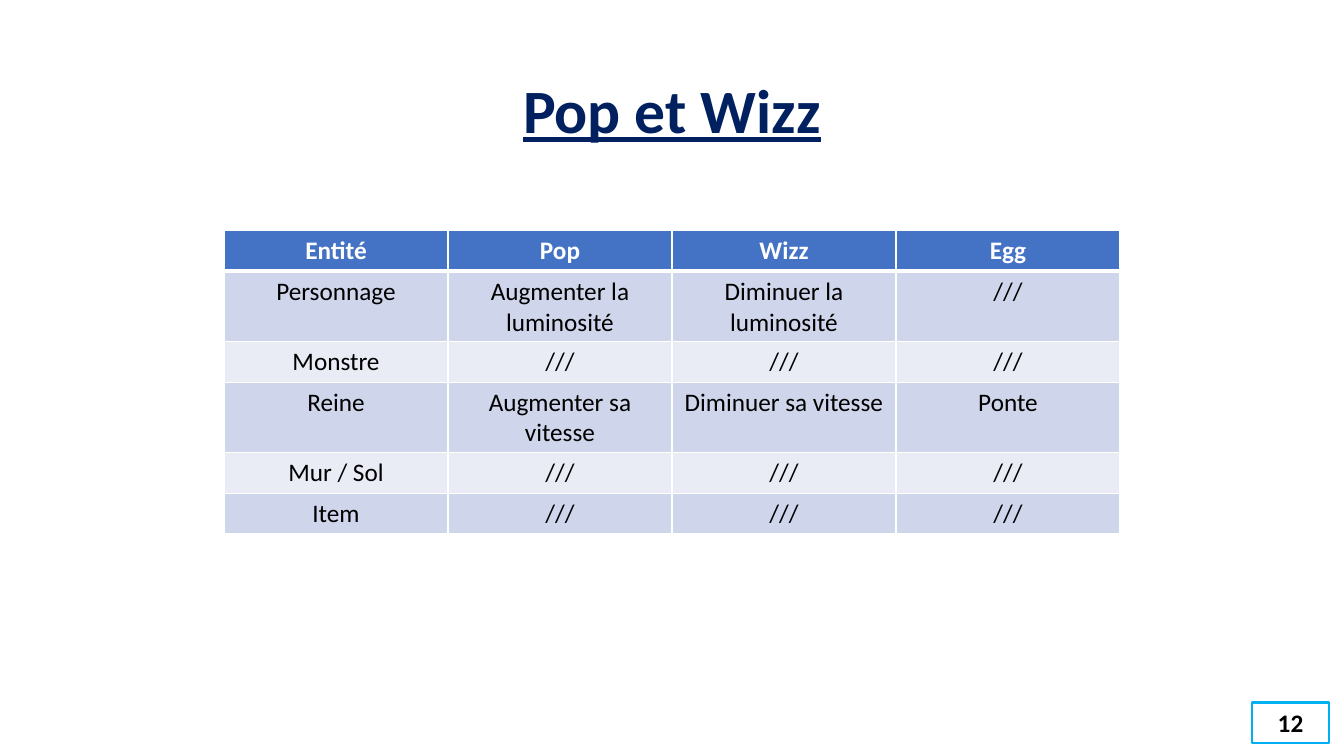
from lxml import etree
from pptx import Presentation
from pptx.dml.color import RGBColor
from pptx.enum.shapes import MSO_SHAPE
from pptx.enum.text import MSO_ANCHOR, PP_ALIGN
from pptx.oxml.ns import qn
from pptx.util import Inches, Pt

RECTANGLE = MSO_SHAPE.RECTANGLE
MIDDLE = MSO_ANCHOR.MIDDLE
CENTER = PP_ALIGN.CENTER

WIDTH, HEIGHT = 13.33, 7.5
FONT = "Calibri"
NAVY, BLUE, CYAN = "002060", "4472C4", "00B0F0"
BANDS = ("CFD5EA", "E9EBF5")
WHITE, BLACK = "FFFFFF", "000000"

NONE = "///"
ACTIONS = [
    ("Entité", "Pop", "Wizz", "Egg"),
    ("Personnage", "Augmenter la luminosité", "Diminuer la luminosité", NONE),
    ("Monstre", NONE, NONE, NONE),
    ("Reine", "Augmenter sa vitesse", "Diminuer sa vitesse", "Ponte"),
    ("Mur / Sol", NONE, NONE, NONE),
    ("Item", NONE, NONE, NONE),
]


def color(value):
    return RGBColor.from_string(value)


def write(frame, text, *, size=18, ink=BLACK, bold=False, underline=False,
          spacing=1.0):
    """Put one centred, formatted paragraph into a text frame."""
    frame.word_wrap = True
    para = frame.paragraphs[0]
    para.alignment = CENTER
    para.line_spacing = spacing
    span = para.add_run()
    span.text = text
    span.font.name = FONT
    span.font.size = Pt(size)
    span.font.bold = bold
    span.font.underline = underline
    span.font.color.rgb = color(ink)


def add_title(page, text):
    left, top, height = 0.92, 0.4, 1.45
    box = page.shapes.add_textbox(Inches(left), Inches(top),
                                  Inches(WIDTH - 2 * left), Inches(height))
    box.text_frame.vertical_anchor = MIDDLE
    write(box.text_frame, text, size=44, ink=NAVY, bold=True,
          underline=True, spacing=0.9)


def set_borders(cell, **widths):
    """Draw white cell borders; widths are points keyed by side."""
    properties = cell._tc.get_or_add_tcPr()
    for side, width in widths.items():
        line = etree.SubElement(properties, qn(f"a:ln{side}"), w=str(Pt(width)))
        fill = etree.SubElement(line, qn("a:solidFill"))
        etree.SubElement(fill, qn("a:srgbClr"), val=WHITE)


def add_action_table(page, rows):
    # Four columns, each a sixth of the slide, centred across it
    column_count = len(rows[0])
    column_width = WIDTH / 6
    row_height = 0.4
    table_width = column_count * column_width
    table = page.shapes.add_table(
        len(rows), column_count,
        Inches((WIDTH - table_width) / 2), Inches(2.29),
        Inches(table_width), Inches(len(rows) * row_height)).table
    for row_index, texts in enumerate(rows):
        header = row_index == 0
        for column_index, text in enumerate(texts):
            cell = table.cell(row_index, column_index)
            set_borders(cell, L=1, R=1, T=3 if row_index == 1 else 1,
                        B=3 if header else 1)
            cell.fill.solid()
            cell.fill.fore_color.rgb = color(
                BLUE if header else BANDS[(row_index - 1) % 2])
            write(cell.text_frame, text, ink=WHITE if header else BLACK,
                  bold=header)


def add_page_number(page, number):
    width, height = 0.76, 0.4
    box = page.shapes.add_shape(
        RECTANGLE, Inches(WIDTH - width - 0.15),
        Inches(HEIGHT - height - 0.13), Inches(width), Inches(height))
    box.shadow.inherit = False
    box.fill.background()
    box.line.color.rgb = color(CYAN)
    box.line.width = Pt(1.5)
    write(box.text_frame, str(number), bold=True)


def main():
    deck = Presentation()
    deck.slide_width, deck.slide_height = Inches(WIDTH), Inches(HEIGHT)
    page = deck.slides.add_slide(deck.slide_layouts[6])
    add_title(page, "Pop et Wizz")
    add_action_table(page, ACTIONS)
    add_page_number(page, 12)
    deck.save("out.pptx")


if __name__ == "__main__":
    main()
